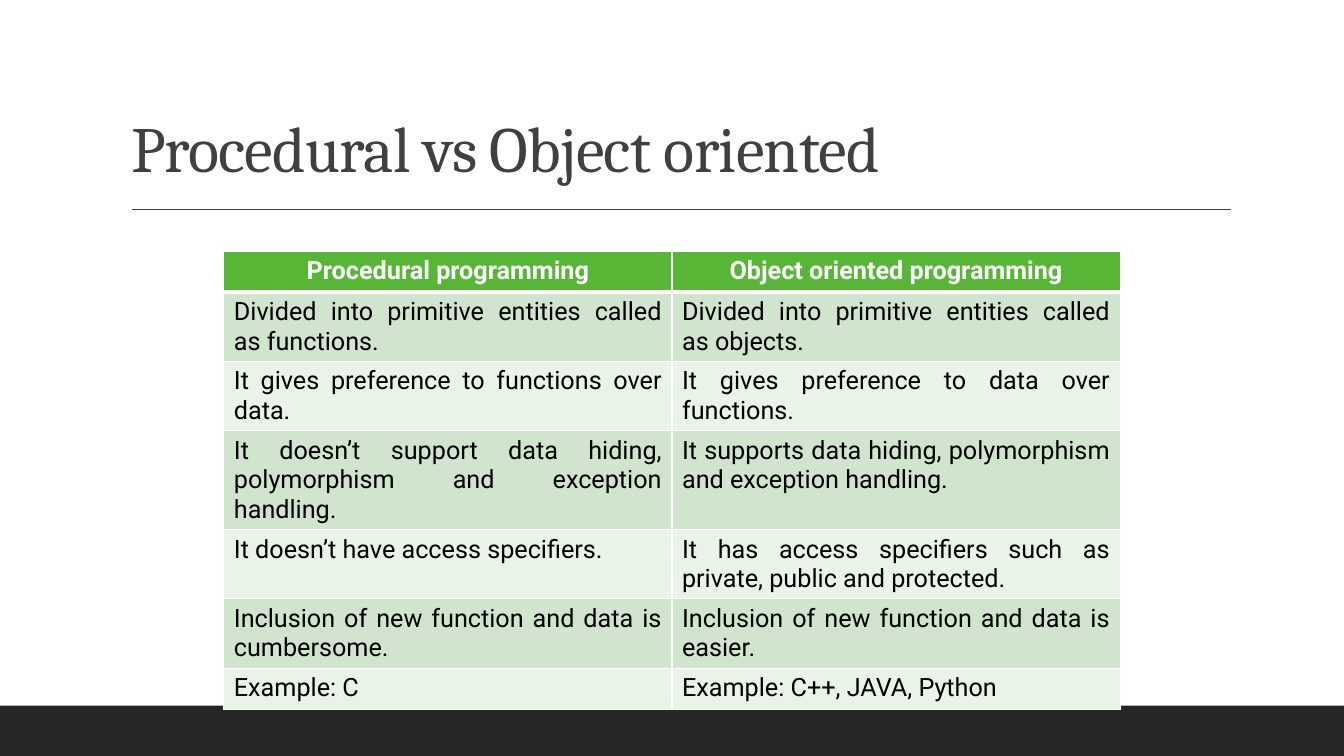
from lxml import etree
from pptx import Presentation
from pptx.dml.color import RGBColor
from pptx.enum import shapes, text
from pptx.oxml import ns
from pptx.util import Inches, Pt

WHITE, BLACK, DARK, GREY = "FFFFFF", "000000", "262626", "404040"
HEADER_FILL, BAND_FILLS = "57B636", ("D1E5CE", "EAF3E8")

ROWS = [
    ("Procedural programming", "Object oriented programming"),
    ("Divided into primitive entities called as functions.",
     "Divided into primitive entities called as objects."),
    ("It gives preference to functions over data.",
     "It gives preference to data over functions."),
    ("It doesn’t support data hiding, polymorphism and exception handling.",
     "It supports data hiding, polymorphism and exception handling."),
    ("It doesn’t have access specifiers.",
     "It has access specifiers such as private, public and protected."),
    ("Inclusion of new function and data is cumbersome.",
     "Inclusion of new function and data is easier."),
    ("Example: C", "Example: C++, JAVA, Python"),
]


def rgb(color):
    return RGBColor.from_string(color)


def write(tf, content, *, size, font, color, align, bold=False, spacing=None, tracking=None):
    """Put one formatted paragraph in a text frame; tracking is in points."""
    p = tf.paragraphs[0]
    p.alignment = align
    if spacing:
        p.line_spacing = spacing
    r = p.add_run()
    r.text = content
    r.font.size, r.font.name, r.font.bold = Pt(size), font, bold
    r.font.color.rgb = rgb(color)
    if tracking:
        r.font._element.set("spc", str(round(tracking * 100)))


def add_bar(slide, x, y, w, h, color):
    sp = slide.shapes.add_shape(shapes.MSO_SHAPE.RECTANGLE,
                                Inches(x), Inches(y), Inches(w), Inches(h))
    sp.shadow.inherit = False
    sp.fill.solid()
    sp.fill.fore_color.rgb = rgb(color)
    sp.line.fill.background()


def add_rule(slide, x1, x2, y, color):
    line = slide.shapes.add_connector(shapes.MSO_CONNECTOR.STRAIGHT,
                                      Inches(x1), Inches(y), Inches(x2), Inches(y))
    line.line.color.rgb = rgb(color)
    line.line.width = Pt(1)
    etree.SubElement(line._element.spPr, ns.qn("a:effectLst"))


def set_title(slide, content):
    sp = slide.shapes.title
    sp.left, sp.top, sp.width, sp.height = Inches(1.2), Inches(0.31), Inches(11), Inches(1.59)
    tf = sp.text_frame
    tf.word_wrap = True
    tf.auto_size = text.MSO_AUTO_SIZE.NONE
    tf.vertical_anchor = text.MSO_ANCHOR.BOTTOM
    write(tf, content, size=46, font="Cambria", color=GREY,
          align=text.PP_ALIGN.LEFT, spacing=0.9, tracking=-0.5)


def set_borders(cell, color, **widths):
    """Draw cell borders, with widths in points for L, R, T and B in that order."""
    tc_pr = cell._tc.get_or_add_tcPr()
    for side, width in widths.items():
        ln = etree.SubElement(tc_pr, ns.qn(f"a:ln{side}"), w=str(Pt(width)))
        fill = etree.SubElement(ln, ns.qn("a:solidFill"))
        etree.SubElement(fill, ns.qn("a:srgbClr"), val=color)


def add_comparison(slide, x, y, w, row_height):
    table = slide.shapes.add_table(len(ROWS), 2, Inches(x), Inches(y), Inches(w),
                                   Inches(row_height * len(ROWS))).table
    for i, row in enumerate(ROWS):
        header = i == 0
        for j, content in enumerate(row):
            cell = table.cell(i, j)
            set_borders(cell, WHITE, L=1, R=1, T=3 if i == 1 else 1, B=3 if header else 1)
            cell.fill.solid()
            cell.fill.fore_color.rgb = rgb(HEADER_FILL if header else BAND_FILLS[(i - 1) % 2])
            write(cell.text_frame, content, size=18, font="Roboto", bold=header,
                  color=WHITE if header else BLACK,
                  align=text.PP_ALIGN.CENTER if header else text.PP_ALIGN.JUSTIFY)


def main():
    prs = Presentation()
    prs.slide_width, prs.slide_height = Inches(13.33), Inches(7.5)
    slide = prs.slides.add_slide(prs.slide_layouts[5])
    add_bar(slide, 0, 7, 13.33, 0.5, DARK)
    add_rule(slide, 1.31, 12.21, 2.08, GREY)
    set_title(slide, "Procedural vs Object oriented")
    add_comparison(slide, 2.22, 2.49, 8.89, 0.41)
    prs.save("out.pptx")


if __name__ == "__main__":
    main()
